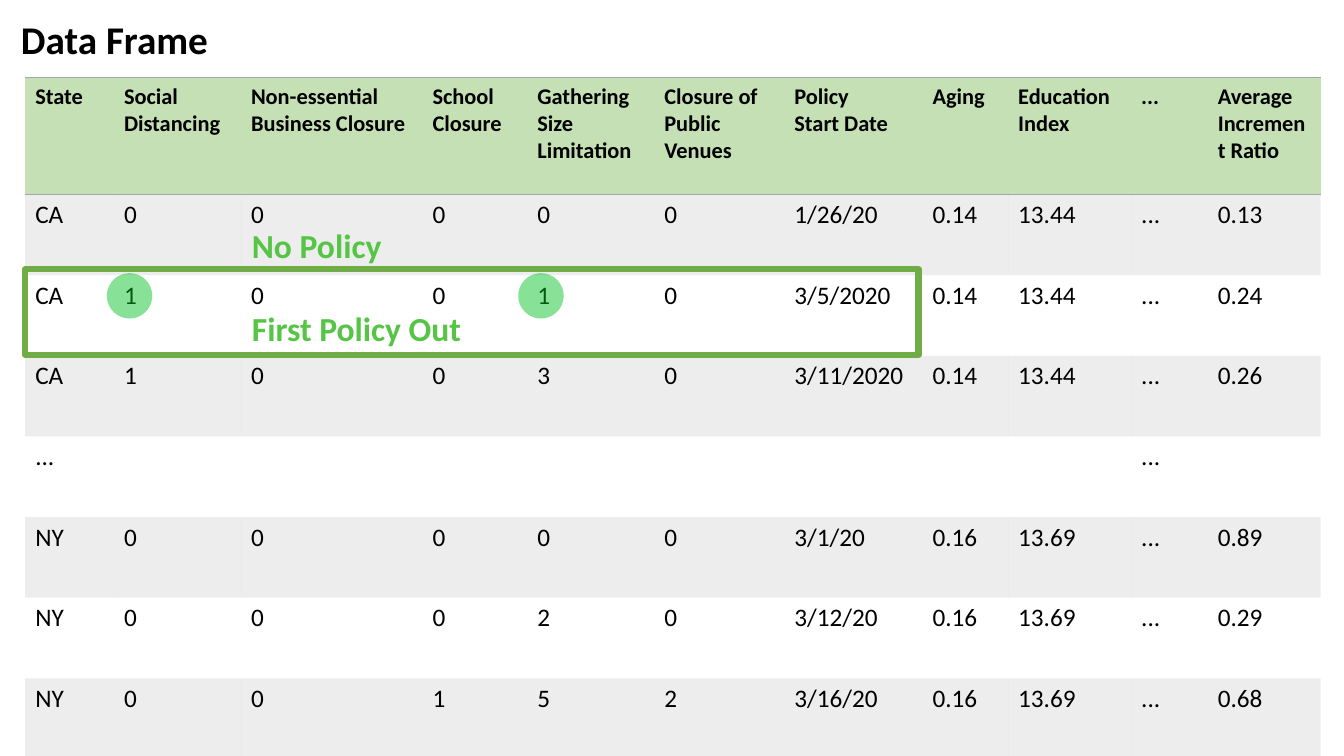
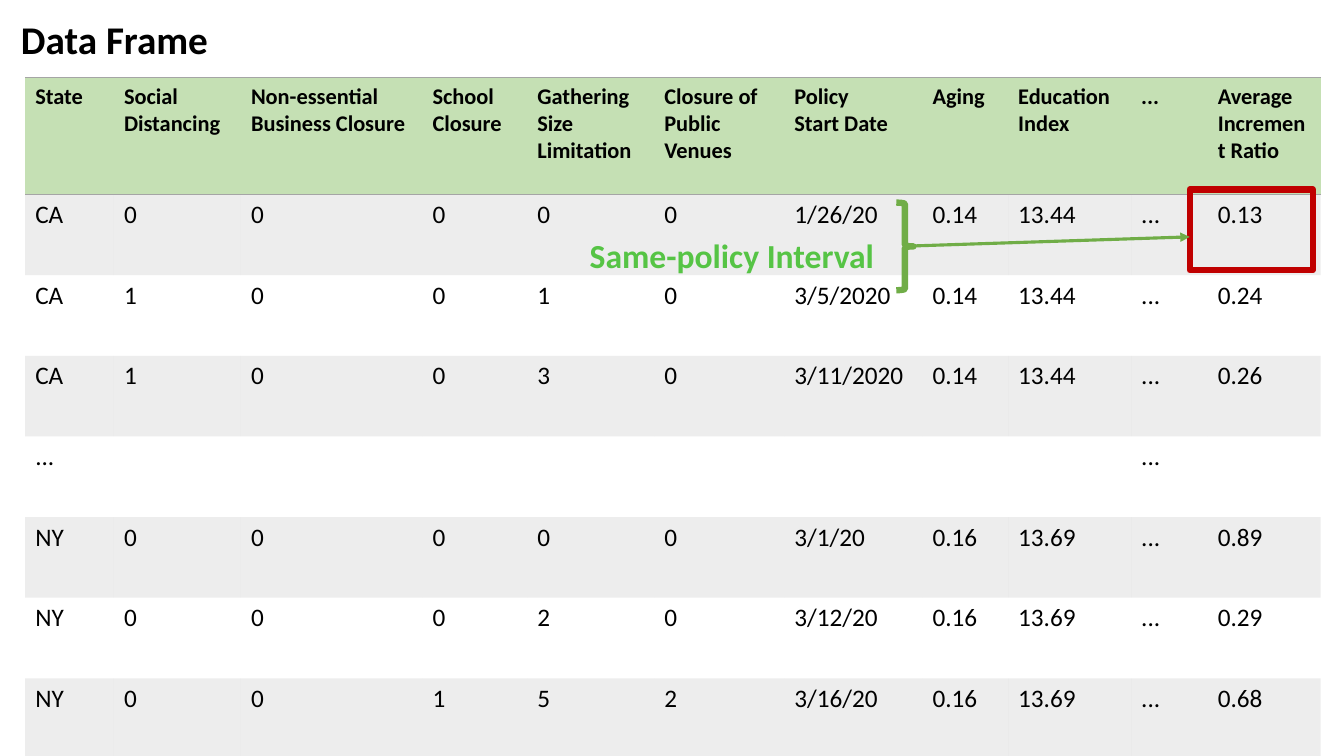
from dataclasses import dataclass
from pptx import Presentation
from pptx.dml.color import RGBColor as RGB
from pptx.enum.shapes import MSO_CONNECTOR as LINK, MSO_SHAPE as FORM
from pptx.enum.text import MSO_AUTO_SIZE as FIT
from pptx.oxml.ns import qn
from pptx.util import Inches, Pt
from lxml.etree import SubElement as sub


@dataclass(frozen=True)
class Theme:
    font: str = "Calibri"
    ink: str = "000000"
    head: str = "C5E0B4"
    gray: str = "A5A5A5"
    green: str = "70AD47"
    note: str = "56C445"
    spot: str = "00C223"
    red: str = "C00000"
    title_size: int = 28
    note_size: int = 24
    head_size: int = 16
    body_size: int = 18
    frame_width: float = 4.5
    arrow_width: float = 2.25
    band_alpha: int = 20
    spot_alpha: int = 47
    plain_grid: str = "{2D5ABB26-0587-4C30-8999-92F81FD0307C}"


WIDTHS = [0.88, 1.26, 1.8, 1.04, 1.26, 1.29, 1.37, 0.85, 1.22, 0.76, 1.12]
HEAD_HIGH, ROW_HIGH = 1.16, 0.8
HEADS = ["State", "Social Distancing", "Non-essential\nBusiness Closure",
         "School Closure", "Gathering Size Limitation",
         "Closure of Public Venues", "Policy\nStart Date", "Aging",
         "Education Index", "...", "Average\nIncrement Ratio"]
ROWS = [
    ["CA", "0", "0", "0", "0", "0", "1/26/20", "0.14", "13.44", "...", "0.13"],
    ["CA", "1", "0", "0", "1", "0", "3/5/2020", "0.14", "13.44", "...", "0.24"],
    ["CA", "1", "0", "0", "3", "0", "3/11/2020", "0.14", "13.44", "...", "0.26"],
    ["...", "", "", "", "", "", "", "", "", "...", ""],
    ["NY", "0", "0", "0", "0", "0", "3/1/20", "0.16", "13.69", "...", "0.89"],
    ["NY", "0", "0", "0", "2", "0", "3/12/20", "0.16", "13.69", "...", "0.29"],
    ["NY", "0", "0", "1", "5", "2", "3/16/20", "0.16", "13.69", "...", "0.68"],
]


class Deck:
    def __init__(self, theme):
        self.theme = theme
        self.file = Presentation()
        self.file.slide_width = Inches(13.33)
        self.file.slide_height = Inches(7.5)
        self.slide = None

    def start(self):
        """Begin a slide with the shared title and table."""
        self.slide = self.file.slides.add_slide(self.file.slide_layouts[6])
        self.text("Data Frame", (0.11, 0.1, 2.29, 0.57),
                  self.theme.title_size, self.theme.ink, wrap=True)
        self.table(0.25, 0.77)

    def letter(self, frame, text, size, color, bold):
        """Put text into a frame, one paragraph a line."""
        for i, line in enumerate(text.split("\n")):
            para = frame.add_paragraph() if i else frame.paragraphs[0]
            run = para.add_run()
            run.text = line
            font = run.font
            font.name, font.size, font.bold = self.theme.font, Pt(size), bold
            font.color.rgb = RGB.from_string(color)

    def text(self, text, box, size, color, wrap=False):
        frame = self.slide.shapes.add_textbox(*map(Inches, box)).text_frame
        frame.word_wrap = wrap
        frame.auto_size = FIT.SHAPE_TO_FIT_TEXT
        self.letter(frame, text, size, color, True)

    def note(self, text, box):
        self.text(text, box, self.theme.note_size, self.theme.note)

    def paint(self, fill, color, alpha=100):
        """Fill with a colour, alpha being the opacity in percent."""
        fill.solid()
        fill.fore_color.rgb = RGB.from_string(color)
        if alpha < 100:
            props = fill._xPr
            tone = props.find(qn("a:solidFill")).find(qn("a:srgbClr"))
            sub(tone, qn("a:alpha"), val=str(alpha * 1000))

    def edge(self, cell, *sides):
        """Rule the given sides (T before B) of a cell."""
        props = cell._tc.get_or_add_tcPr()
        for i, side in enumerate(sides):
            line = sub(props, qn("a:ln" + side), w=str(int(Pt(1))))
            tone = sub(line, qn("a:solidFill"))
            sub(tone, qn("a:srgbClr"), val=self.theme.gray)
            props.insert(i, line)

    def table(self, left, top):
        look = self.theme
        highs = [HEAD_HIGH] + [ROW_HIGH] * len(ROWS)
        grid = self.slide.shapes.add_table(
            len(highs), len(WIDTHS), Inches(left), Inches(top),
            Inches(sum(WIDTHS)), Inches(sum(highs))).table
        grid._tbl.tblPr.find(qn("a:tableStyleId")).text = look.plain_grid
        grid.horz_banding = grid.first_row = False
        for col, width in zip(grid.columns, WIDTHS):
            col.width = Inches(width)
        for r, (high, row) in enumerate(zip(highs, [HEADS] + ROWS)):
            grid.rows[r].height = Inches(high)
            size = look.body_size if r else look.head_size
            for c, value in enumerate(row):
                cell = grid.cell(r, c)
                if value:
                    self.letter(cell.text_frame, value, size, look.ink, r == 0)
                if r == 0:
                    self.paint(cell.fill, look.head)
                    self.edge(cell, "T", "B")
                elif r % 2:
                    self.paint(cell.fill, look.gray, look.band_alpha)
                else:
                    cell.fill.background()
                if r == len(ROWS):
                    self.edge(cell, "B")

    def shape(self, form, box):
        item = self.slide.shapes.add_shape(form, *map(Inches, box))
        item.shadow.inherit = False
        return item

    def frame(self, form, box, color):
        item = self.shape(form, box)
        item.fill.background()
        item.line.color.rgb = RGB.from_string(color)
        item.line.width = Pt(self.theme.frame_width)

    def spot(self, left, top, size):
        item = self.shape(FORM.OVAL, (left, top, size, size))
        self.paint(item.fill, self.theme.spot, self.theme.spot_alpha)
        item.line.fill.background()

    def arrow(self, start, end):
        link = self.slide.shapes.add_connector(
            LINK.STRAIGHT, *map(Inches, start + end))
        link.line.color.rgb = RGB.from_string(self.theme.green)
        link.line.width = Pt(self.theme.arrow_width)
        sub(link.line._get_or_add_ln(), qn("a:tailEnd"), type="triangle")
        sub(link._element.spPr, qn("a:effectLst"))


def policy(deck):
    deck.start()
    deck.frame(FORM.RECTANGLE, (0.25, 2.67, 8.86, 0.85), deck.theme.green)
    deck.note("First Policy Out", (2.4, 3.01, 2.3, 0.5))
    for left in (1.06, 5.14):
        deck.spot(left, 2.71, 0.45)
    deck.note("No Policy", (2.4, 2.18, 1.5, 0.5))


def span(deck):
    deck.start()
    deck.frame(FORM.RECTANGLE, (11.8, 1.88, 1.22, 0.8), deck.theme.red)
    deck.arrow((9.06, 2.44), (11.8, 2.35))
    deck.frame(FORM.RIGHT_BRACE, (8.89, 2.01, 0.17, 0.87), deck.theme.green)
    deck.note("Same-policy Interval", (5.75, 2.28, 3.05, 0.5))


def main():
    deck = Deck(Theme())
    policy(deck)
    span(deck)
    deck.file.save("out.pptx")


if __name__ == "__main__":
    main()
